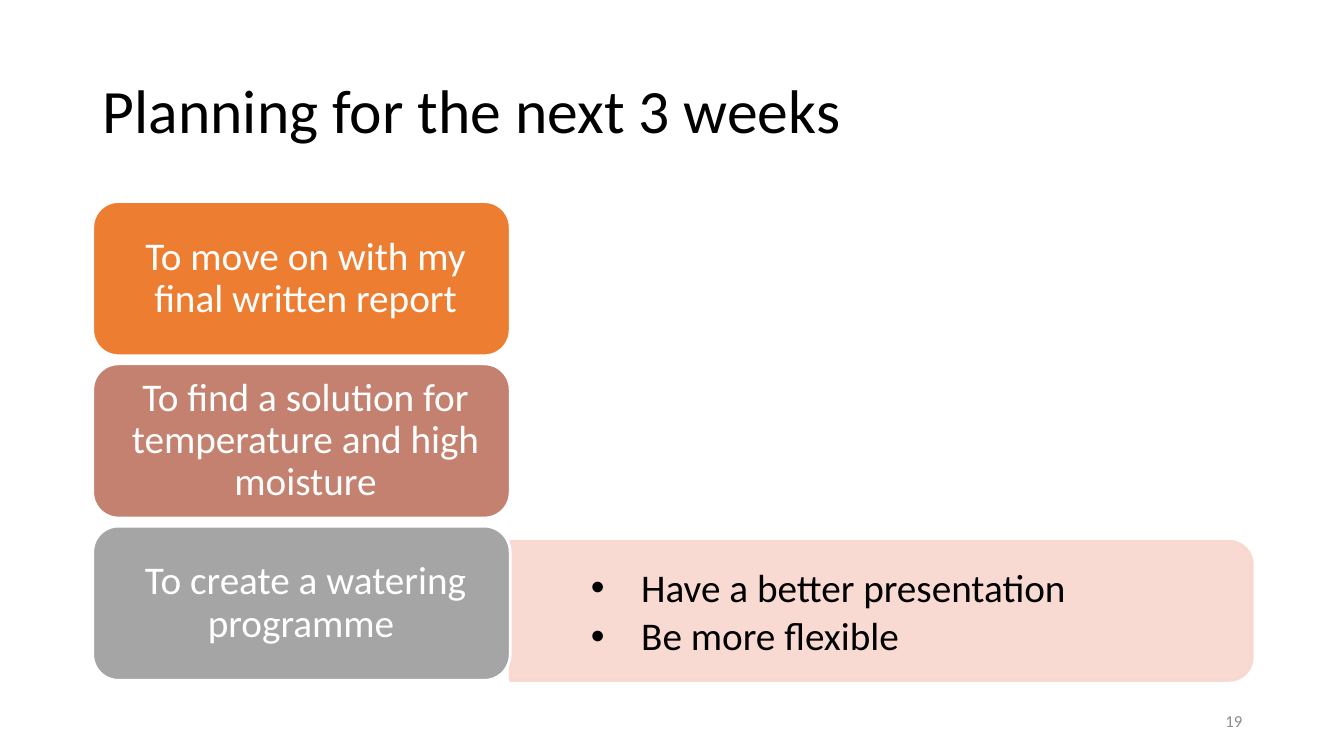
"""Build the slide that plans the next three weeks."""
from dataclasses import dataclass

from lxml.etree import SubElement
from pptx import Presentation
from pptx.dml.color import RGBColor
from pptx.enum.shapes import MSO_SHAPE
from pptx.enum.text import MSO_ANCHOR, MSO_AUTO_SIZE, PP_ALIGN
from pptx.oxml.ns import qn
from pptx.util import Inches, Pt

BLACK = RGBColor(0x00, 0x00, 0x00)
WHITE = RGBColor(0xFF, 0xFF, 0xFF)
ORANGE = RGBColor(0xED, 0x7D, 0x31)
CLAY = RGBColor(0xC4, 0x81, 0x70)
GREY = RGBColor(0xA5, 0xA5, 0xA5)
PINK = RGBColor(0xF8, 0xD7, 0xCE)
NUMBER_GREY = RGBColor(0x8B, 0x8B, 0x8B)

CARD_LEFT, CARD_TOP, CARD_PITCH = 0.92, 2.0, 1.61
CARD_WIDTH, CARD_HEIGHT = 4.14, 1.53
BOX_INSETS = (0.1, 0.05, 0.1, 0.05)
CARD_INSETS = (0.21, 0.14, 0.13, 0.14)


@dataclass
class Card:
    text: str
    color: RGBColor


@dataclass
class TextStyle:
    size: float
    color: RGBColor
    align: PP_ALIGN = PP_ALIGN.LEFT
    line_spacing: float = 0.9
    space_after: float = 0
    anchor: MSO_ANCHOR = MSO_ANCHOR.MIDDLE
    insets: tuple[float, ...] = BOX_INSETS


CARDS = [
    Card("To move on with my final written report", ORANGE),
    Card("To find a solution for temperature and high moisture", CLAY),
    Card("To create a watering programme ", GREY),
]
AIMS = ["Have a better presentation", "Be more flexible"]

TITLE_STYLE = TextStyle(44, BLACK)
CARD_STYLE = TextStyle(28, WHITE, PP_ALIGN.CENTER, space_after=11.2, insets=CARD_INSETS)
AIM_STYLE = TextStyle(28, BLACK, space_after=4.3, anchor=MSO_ANCHOR.TOP)
NUMBER_STYLE = TextStyle(12, NUMBER_GREY, PP_ALIGN.RIGHT, 1.0, 6)


def apply(target, values: dict) -> None:
    for name, value in values.items():
        setattr(target, name, value)


def place(box, left: float, top: float, width: float, height: float) -> None:
    apply(box, {"left": Inches(left), "top": Inches(top),
                "width": Inches(width), "height": Inches(height)})


def write(box, lines: list[str], style: TextStyle) -> None:
    frame = box.text_frame
    left, top, right, bottom = map(Inches, style.insets)
    apply(frame, {"word_wrap": True, "auto_size": MSO_AUTO_SIZE.NONE,
                  "vertical_anchor": style.anchor,
                  "margin_left": left, "margin_top": top,
                  "margin_right": right, "margin_bottom": bottom})
    for index, line in enumerate(lines):
        para = frame.add_paragraph() if index else frame.paragraphs[0]
        apply(para, {"alignment": style.align, "line_spacing": style.line_spacing,
                     "space_before": Pt(0), "space_after": Pt(style.space_after)})
        span = para.add_run()
        span.text = line
        apply(span.font, {"name": "Calibri", "size": Pt(style.size)})
        span.font.color.rgb = style.color


def add_bullet(para) -> None:
    para.level = 1
    properties = para._p.get_or_add_pPr()
    properties.set("marL", str(Inches(0.5)))
    properties.set("indent", str(-Inches(0.5)))
    color = SubElement(properties, qn("a:buClr"))
    SubElement(color, qn("a:srgbClr"), val=str(BLACK))
    SubElement(properties, qn("a:buFont"), typeface="Arial")
    SubElement(properties, qn("a:buChar"), char="•")


def paint(shape, fill: RGBColor, line: RGBColor) -> None:
    shape.shadow.inherit = False
    shape.fill.solid()
    shape.fill.fore_color.rgb = fill
    shape.line.color.rgb = line
    shape.line.width = Pt(2)


def add_card(page, card: Card, row: int) -> None:
    shape = page.shapes.add_shape(
        MSO_SHAPE.ROUNDED_RECTANGLE, Inches(CARD_LEFT),
        Inches(CARD_TOP + row * CARD_PITCH), Inches(CARD_WIDTH), Inches(CARD_HEIGHT))
    paint(shape, card.color, WHITE)
    write(shape, [card.text], CARD_STYLE)


def add_panel(page) -> None:
    panel = page.shapes.add_shape(MSO_SHAPE.ROUND_2_SAME_RECTANGLE, Inches(8.05),
                                  Inches(2.38), Inches(1.38), Inches(7.36))
    panel.rotation = 90
    paint(panel, PINK, PINK)
    for color in panel._element.spPr.iter(qn("a:srgbClr")):
        SubElement(color, qn("a:alpha"), val="90000")


def main() -> None:
    deck = Presentation()
    deck.slide_width, deck.slide_height = Inches(13.33), Inches(7.5)
    page = deck.slides.add_slide(deck.slide_layouts[1])

    title, body = page.shapes.title, page.placeholders[1]
    place(title, 0.92, 0.4, 11.5, 1.45)
    write(title, ["Planning for the next 3 weeks"], TITLE_STYLE)

    add_panel(page)
    for row, card in enumerate(CARDS):
        add_card(page, card, row)

    number = page.shapes.add_textbox(Inches(9.42), Inches(6.95), Inches(3), Inches(0.4))
    write(number, ["19"], NUMBER_STYLE)

    place(body, 5.76, 5.59, 5.95, 1.36)
    write(body, AIMS, AIM_STYLE)
    for para in body.text_frame.paragraphs:
        add_bullet(para)
    page.shapes._spTree.append(body._element)

    deck.save("out.pptx")


if __name__ == "__main__":
    main()
